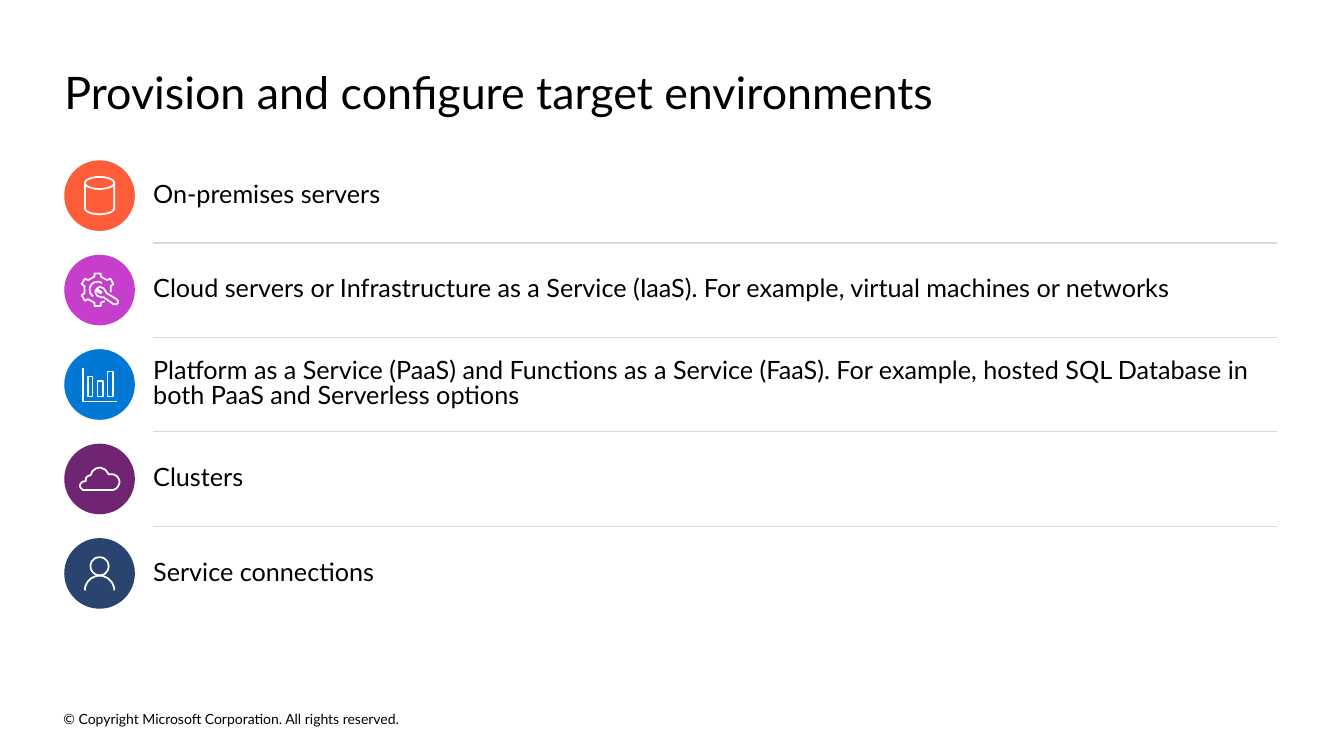
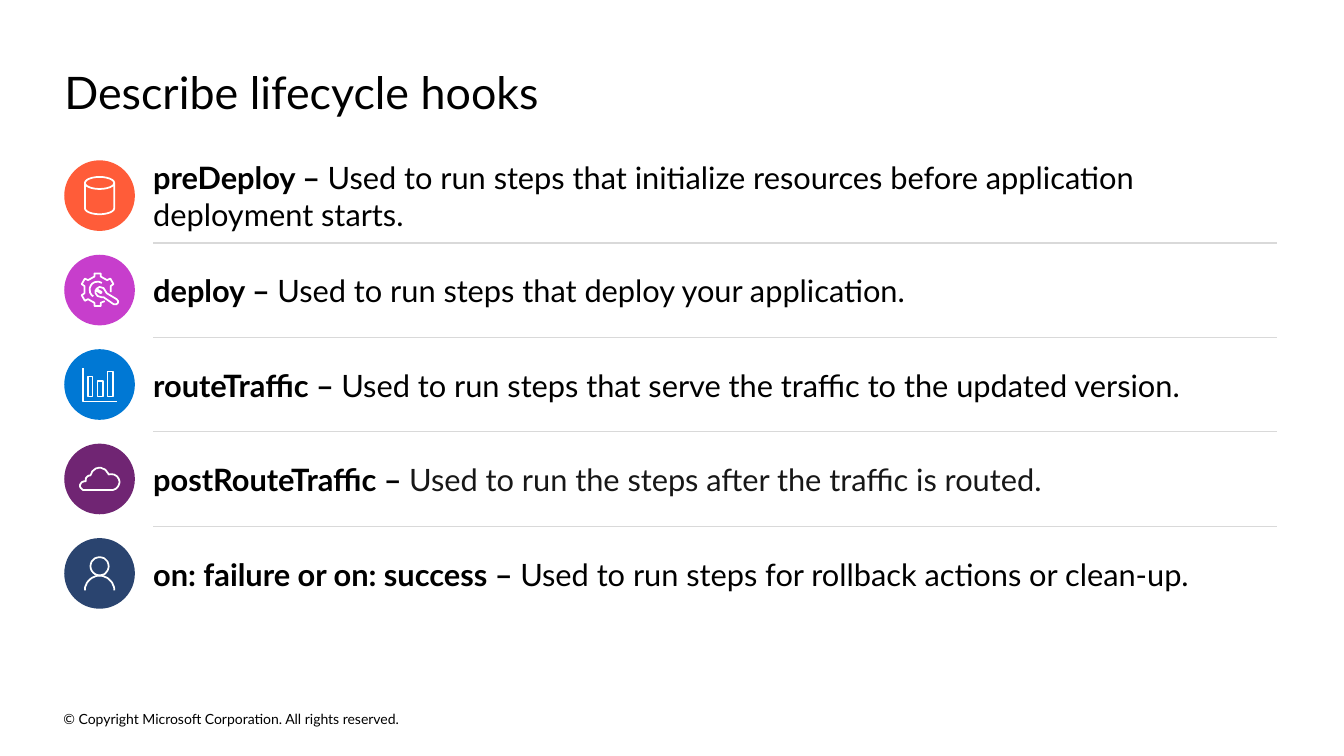
from copy import deepcopy
from math import cos, radians, sin

from pptx import Presentation
from pptx.dml.color import RGBColor
from pptx.enum.shapes import MSO_CONNECTOR, MSO_SHAPE
from pptx.enum.text import MSO_ANCHOR, MSO_AUTO_SIZE, PP_ALIGN
from pptx.oxml.ns import qn
from pptx.shapes.shapetree import SlideShapes
from pptx.util import Cm, Pt

FONT = "Lato"
BLACK = RGBColor(0x00, 0x00, 0x00)
CHARCOAL = RGBColor(0x17, 0x17, 0x17)
WHITE = RGBColor(0xFF, 0xFF, 0xFF)
RULE_GREY = RGBColor(0xD9, 0xD9, 0xD9)
ORANGE = RGBColor(0xFF, 0x5C, 0x39)
MAGENTA = RGBColor(0xC7, 0x3E, 0xCC)
BLUE = RGBColor(0x00, 0x78, 0xD4)
PURPLE = RGBColor(0x70, 0x25, 0x73)
NAVY = RGBColor(0x2A, 0x44, 0x6F)

MARGIN = Cm(1.62)
ROW_TOP = Cm(4.04)
ROW_PITCH = Cm(2.38)
ROW_COUNT = 5
DISC = Cm(1.78)
TEXT_LEFT = Cm(3.86)
TEXT_WIDTH = Cm(28.37)
RULE_TOP = Cm(6.12)
RULE_RIGHT = Cm(32.18)
ICON_UNIT = Cm(0.01)

COPYRIGHT = "© Copyright Microsoft Corporation. All rights reserved."

ENVIRONMENTS = [
    "On-premises servers",
    "Cloud servers or Infrastructure as a Service (IaaS). "
    "For example, virtual machines or networks",
    "Platform as a Service (PaaS) and Functions as a Service (FaaS). "
    "For example, hosted SQL Database in both PaaS and Serverless options",
    "Clusters",
    "Service connections",
]

HOOKS = [
    ("preDeploy", "Used to run steps that initialize resources before "
     "application deployment starts.", BLACK),
    ("deploy", "Used to run steps that deploy your application.", BLACK),
    ("routeTraffic", "Used to run steps that serve the traffic to the "
     "updated version.", BLACK),
    ("postRouteTraffic", "Used to run the steps after the traffic is routed.",
     CHARCOAL),
    ("on: failure or on: success",
     "Used to run steps for rollback actions or clean-up.", BLACK),
]


def polar(cx, cy, radius, degrees):
    angle = radians(degrees)
    return cx + radius * cos(angle), cy + radius * sin(angle)


def arc(cx, cy, radius, start, end, steps=24):
    return [polar(cx, cy, radius, start + (end - start) * step / steps)
            for step in range(steps + 1)]


def bar(left, top, right, bottom):
    return [(left, top), (right, top), (right, bottom), (left, bottom)]


def gear_rim(cx, cy):
    rim = [polar(cx, cy, 34, 58)]
    for tooth in range(90, 331, 60):
        rim += [polar(cx, cy, radius, tooth + offset)
                for radius, offset in ((34, -14), (42, -11), (42, 11), (34, 14))]
    return rim + [polar(cx, cy, 34, 370)]


WRENCH = [(10, 18), (36, 36), (42, 36), (46, 33), (47, 28), (43, 23), (18, 8),
          (15, 3), (10, -5), (0, -8), (-8, -3), (5, 5), (3, 8), (-10, 0),
          (-10, 8), (-5, 15), (5, 18)]
GEAR = [(gear_rim(-5, -1), False), (arc(-5, -1, 20, 122, 302), False),
        (WRENCH, True)]
CHART = [(bar(-30, -20, -18, 30), True), (bar(-5, -8, 8, 30), True),
         (bar(20, -33, 33, 30), True),
         ([(-41, -41), (-41, 43), (43, 43)], False)]
CLOUD = [(arc(0, -5, 23, 195, 340) + arc(30, 8, 20, -110, 90)
          + arc(-38, 17, 11, 90, 285) + arc(-23, 3, 12, 165, 270), True)]
PERSON = [(arc(0, -18, 23, 0, 360), True), (arc(0, 43, 37, 180, 360), False)]


def style_text(font, size, color=BLACK, bold=False):
    font.name = FONT
    font.size = Pt(size)
    font.bold = bold
    font.color.rgb = color


def prepare_frame(frame):
    frame.margin_left = frame.margin_right = 0
    frame.margin_top = frame.margin_bottom = 0
    frame.vertical_anchor = MSO_ANCHOR.MIDDLE
    frame.word_wrap = True
    frame.auto_size = MSO_AUTO_SIZE.NONE


def place(item, left, top, width, height):
    item.left, item.top, item.width, item.height = left, top, width, height


def add_rule(shapes, y):
    rule = shapes.add_connector(MSO_CONNECTOR.STRAIGHT, TEXT_LEFT, y, RULE_RIGHT, y)
    rule.line.color.rgb = RULE_GREY
    rule.line.width = Pt(1)
    properties = rule._element.spPr
    properties.append(properties.makeelement(qn("a:effectLst"), {}))


def add_copyright(shapes):
    notice = shapes.add_textbox(Cm(1.6), Cm(17.83), Cm(11.53), Cm(0.56))
    prepare_frame(notice.text_frame)
    notice.text_frame.text = COPYRIGHT
    style_text(notice.text_frame.paragraphs[0].runs[0].font, 10)


def prepare_layout(layout):
    title, body, *footers = layout.placeholders
    for footer in footers:
        footer.element.getparent().remove(footer.element)
    place(title, MARGIN, Cm(1.62), Cm(30.58), Cm(1.38))
    place(body, TEXT_LEFT, ROW_TOP, TEXT_WIDTH, Cm(1.8))
    previous = body.element
    for row in range(1, ROW_COUNT):
        body_copy = deepcopy(body.element)
        body_copy.find(".//" + qn("p:cNvPr")).set("id", str(20 + row))
        body_copy.find(".//" + qn("p:ph")).set("idx", str(9 + row))
        previous.addnext(body_copy)
        previous = body_copy
    for row, placeholder in enumerate(list(layout.placeholders)[1:]):
        placeholder.top = ROW_TOP + row * ROW_PITCH
    shapes = SlideShapes(layout.element.cSld.spTree, layout)
    add_copyright(shapes)
    for row in range(ROW_COUNT - 1):
        add_rule(shapes, RULE_TOP + row * ROW_PITCH)


def outline(icon):
    icon.shadow.inherit = False
    icon.fill.background()
    icon.line.color.rgb = WHITE
    icon.line.width = Pt(1.25)


def draw_cylinder(shapes, x, y):
    width, height = Cm(0.74), Cm(0.94)
    cylinder = shapes.add_shape(MSO_SHAPE.CAN, x - width // 2, y - height // 2,
                                width, height)
    cylinder.adjustments[0] = 0.41
    outline(cylinder)


def draw_contours(shapes, x, y, contours):
    builder = shapes.build_freeform(*contours[0][0][0], scale=ICON_UNIT)
    for number, (points, closed) in enumerate(contours):
        if number:
            builder.move_to(*points[0])
        builder.add_line_segments(points[1:], close=closed)
    outline(builder.convert_to_shape(x, y))


ICONS = [(ORANGE, None), (MAGENTA, GEAR), (BLUE, CHART), (PURPLE, CLOUD),
         (NAVY, PERSON)]


def add_icon(slide, row, color, contours):
    top = ROW_TOP + row * ROW_PITCH
    shapes = slide.shapes.add_group_shape().shapes
    disc = shapes.add_shape(MSO_SHAPE.OVAL, MARGIN, top, DISC, DISC)
    disc.shadow.inherit = False
    disc.fill.solid()
    disc.fill.fore_color.rgb = color
    disc.line.fill.background()
    center_x, center_y = MARGIN + DISC // 2, top + DISC // 2
    if contours:
        draw_contours(shapes, center_x, center_y, contours)
    else:
        draw_cylinder(shapes, center_x, center_y)


def fill_row(placeholder, pieces, size, line_spacing):
    prepare_frame(placeholder.text_frame)
    paragraph = placeholder.text_frame.paragraphs[0]
    properties = paragraph._p.get_or_add_pPr()
    properties.set("marL", "0")
    properties.set("indent", "0")
    properties.append(properties.makeelement(qn("a:buNone"), {}))
    paragraph.alignment = PP_ALIGN.LEFT
    paragraph.line_spacing = line_spacing
    paragraph.space_before = paragraph.space_after = Pt(0)
    for text, color, bold in pieces:
        run = paragraph.add_run()
        run.text = text
        style_text(run.font, size, color, bold)


def add_icon_list(prs, layout, heading, rows, size, line_spacing):
    slide = prs.slides.add_slide(layout)
    title, *bodies = slide.placeholders
    prepare_frame(title.text_frame)
    title.text_frame.text = heading
    paragraph = title.text_frame.paragraphs[0]
    paragraph.alignment = PP_ALIGN.LEFT
    style_text(paragraph.runs[0].font, 32)
    for row, (body, pieces, icon) in enumerate(zip(bodies, rows, ICONS)):
        fill_row(body, pieces, size, line_spacing)
        add_icon(slide, row, *icon)


def main():
    prs = Presentation()
    prs.slide_width, prs.slide_height = Cm(33.87), Cm(19.05)
    layout = prs.slide_layouts[1]
    prepare_layout(layout)
    add_icon_list(prs, layout, "Provision and configure target environments",
                  [[(text, BLACK, False)] for text in ENVIRONMENTS], 18, Pt(17.6))
    add_icon_list(prs, layout, "Describe lifecycle hooks",
                  [[(f"{hook} – ", BLACK, True), (purpose, color, False)]
                   for hook, purpose, color in HOOKS], 22, 1.0)
    prs.save("out.pptx")


if __name__ == "__main__":
    main()
